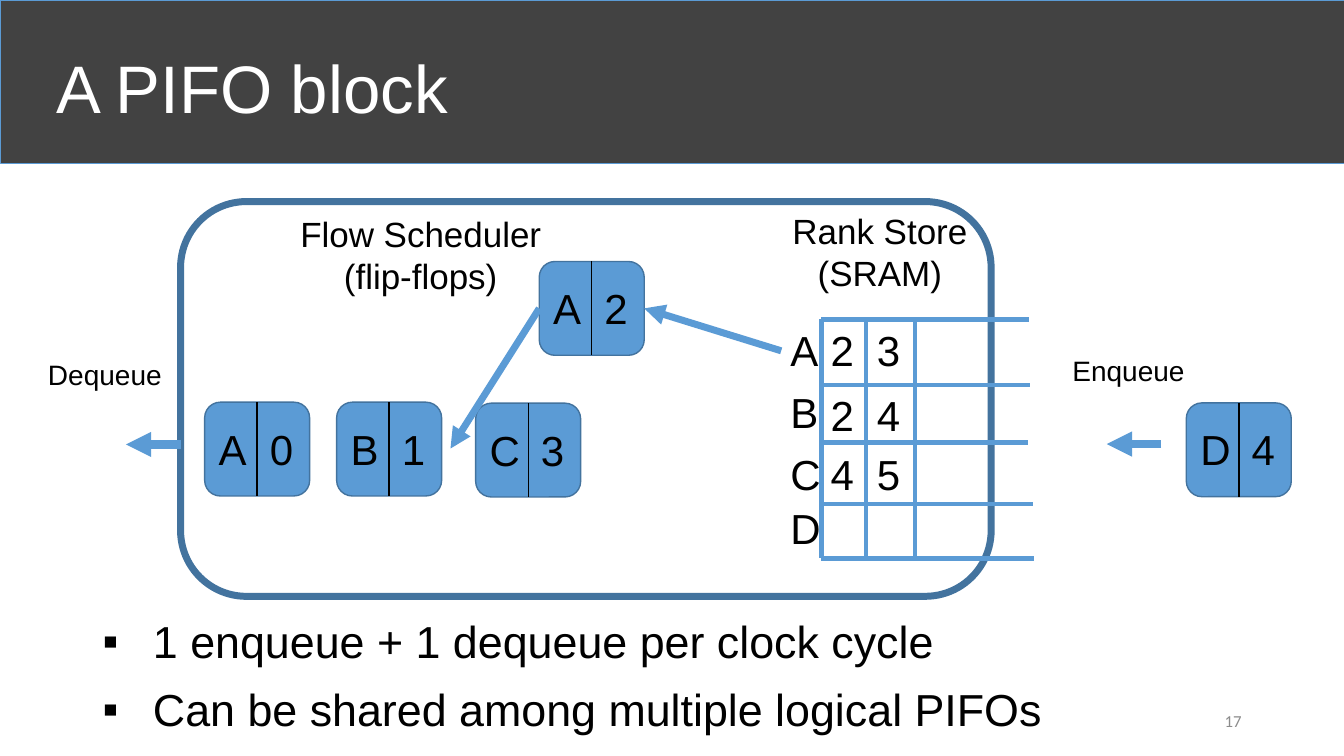
from pptx import Presentation
from pptx.dml.color import RGBColor
from pptx.enum.shapes import MSO_CONNECTOR as Connector, MSO_SHAPE as Shape
from pptx.enum.text import MSO_ANCHOR as Anchor, PP_ALIGN as Align
from pptx.oxml.ns import qn
from pptx.util import Pt
from lxml.etree import SubElement

THEME = {
    "font": "Arial", "number_font": "Calibri",
    "banner": RGBColor(0x42, 0x42, 0x42), "blue": RGBColor(0x5B, 0x9B, 0xD5),
    "outline": RGBColor(0x43, 0x73, 0x9E), "black": RGBColor(0, 0, 0),
    "white": RGBColor(255, 255, 255), "grey": RGBColor(0x8C, 0x8C, 0x8C),
    "title": 48, "bullet": 32, "entry": 30, "heading": 25, "label": 20, "number": 12,
}


def add_text(shapes, lines, left, top, width, height, size, color="black",
             font="font", align=Align.LEFT, anchor=Anchor.TOP):
    box = shapes.add_textbox(Pt(left), Pt(top), Pt(width), Pt(height))
    frame = box.text_frame
    frame.word_wrap = True
    frame.vertical_anchor = anchor
    for index, line in enumerate(lines):
        para = frame.paragraphs[0] if index == 0 else frame.add_paragraph()
        para.alignment = align
        span = para.add_run()
        span.text = line
        span.font.name = THEME[font]
        span.font.size = Pt(THEME[size])
        span.font.color.rgb = THEME[color]
    return frame


def add_line(shapes, x1, y1, x2, y2, weight, color="blue", arrow=False):
    line = shapes.add_connector(Connector.STRAIGHT, Pt(x1), Pt(y1), Pt(x2), Pt(y2))
    line.line.color.rgb = THEME[color]
    line.line.width = Pt(weight)
    properties = line._element.spPr
    if arrow:
        SubElement(properties.find(qn("a:ln")), qn("a:tailEnd"), type="triangle")
    SubElement(properties, qn("a:effectLst"))


deck = Presentation()
deck.slide_width, deck.slide_height = Pt(960), Pt(540)
page = deck.slides.add_slide(deck.slide_layouts[6])
shapes = page.shapes

# Title banner
banner = shapes.add_shape(Shape.RECTANGLE, 0, 0, Pt(960), Pt(116.6))
banner.shadow.inherit = False
banner.fill.solid()
banner.fill.fore_color.rgb = THEME["banner"]
banner.line.color.rgb = THEME["blue"]
banner.line.width = Pt(0.5)
add_text(shapes, ["A PIFO block"], 33, 9.4, 828, 104.4, "title", "white", anchor=Anchor.MIDDLE)

# PIFO block outline and its two headings
block = shapes.add_shape(Shape.ROUNDED_RECTANGLE, Pt(129), Pt(144), Pt(579), Pt(282))
block.shadow.inherit = False
block.fill.background()
block.line.color.rgb = THEME["outline"]
block.line.width = Pt(5)
for heading, left, top, width in [
    (["Flow Scheduler", "(flip-flops)"], 184, 148.3, 233),
    (["Rank Store", "(SRAM)"], 555, 146.2, 147),
]:
    add_text(shapes, heading, left, top, width, 68, "heading", align=Align.CENTER)

# Rank store grid: rows open to the right, one row per flow
row_lines = [228.2, 275, 316.1, 360, 398.9]
column_lines = [586.8, 618.5, 653.8]
for y, right in zip(row_lines, [735, 736, 734.4, 738, 738.7]):
    add_line(shapes, column_lines[0], y, right, y, 3)
for x in column_lines:
    add_line(shapes, x, row_lines[0], x, row_lines[-1], 3)

# Rank store entries: flow name, its top, ranks, and their top
for flow, flow_top, ranks, rank_top in [
    ("A", 228.2, "23", 228.2), ("B", 272.2, "24", 275),
    ("C", 316.8, "45", 316.8), ("D", 355.7, "", 355.7),
]:
    add_text(shapes, [flow], 557.5, flow_top, 20, 44, "entry")
    for column, rank in enumerate(ranks):
        add_text(shapes, [rank], 586.3 + 33 * column, rank_top, 27, 44, "entry")

# Flow and rank cards
card_width, card_height = 75, 67
for flow, rank, left, top in [
    ("A", "0", 146.2, 287.3), ("B", "1", 240.5, 287.3), ("C", "3", 339.8, 288),
    ("D", "4", 847.4, 287.8), ("A", "2", 385.2, 186.8),
]:
    card = shapes.add_group_shape().shapes
    body = card.add_shape(Shape.ROUNDED_RECTANGLE, Pt(left), Pt(top),
                          Pt(card_width), Pt(card_height))
    body.shadow.inherit = False
    body.fill.solid()
    body.fill.fore_color.rgb = THEME["blue"]
    body.line.color.rgb = THEME["outline"]
    body.line.width = Pt(1)
    middle = left + card_width / 2
    add_line(card, middle, top, middle, top + card_height, 1, "black")
    for value, value_left in [(flow, left + 2.9), (rank, middle + 2)]:
        add_text(card, [value], value_left, top + 11.5, 20, 44, "entry")

# Dequeue and enqueue, then the path from rank store to scheduler
add_text(shapes, ["Dequeue"], 27.2, 252, 100, 32, "label")
add_text(shapes, ["Enqueue"], 758.9, 249, 100, 32, "label")
for x1, y1, x2, y2, weight in [
    (129, 317.5, 90, 317.5, 6), (829.4, 317.2, 790.6, 317.2, 6),
    (558, 250.6, 460.2, 220.3, 5), (385.2, 220.3, 321.8, 320.4, 5),
]:
    add_line(shapes, x1, y1, x2, y2, weight, arrow=True)

# Bullets
bullets = add_text(shapes, ["1 enqueue + 1 dequeue per clock cycle",
                            "Can be shared among multiple logical PIFOs"],
                   66.2, 434.9, 828, 102, "bullet")
for para in bullets.paragraphs:
    para.space_before = Pt(10)
    properties = para._p.get_or_add_pPr()
    properties.set("marL", str(Pt(36)))
    properties.set("indent", str(-Pt(36)))
    SubElement(properties, qn("a:buFont"), typeface=THEME["font"])
    SubElement(properties, qn("a:buChar"), char="▪")

# Page number
add_text(shapes, ["17"], 678, 500.5, 216, 28.8, "number", "grey", "number_font",
         Align.RIGHT, Anchor.MIDDLE)

deck.save("out.pptx")
